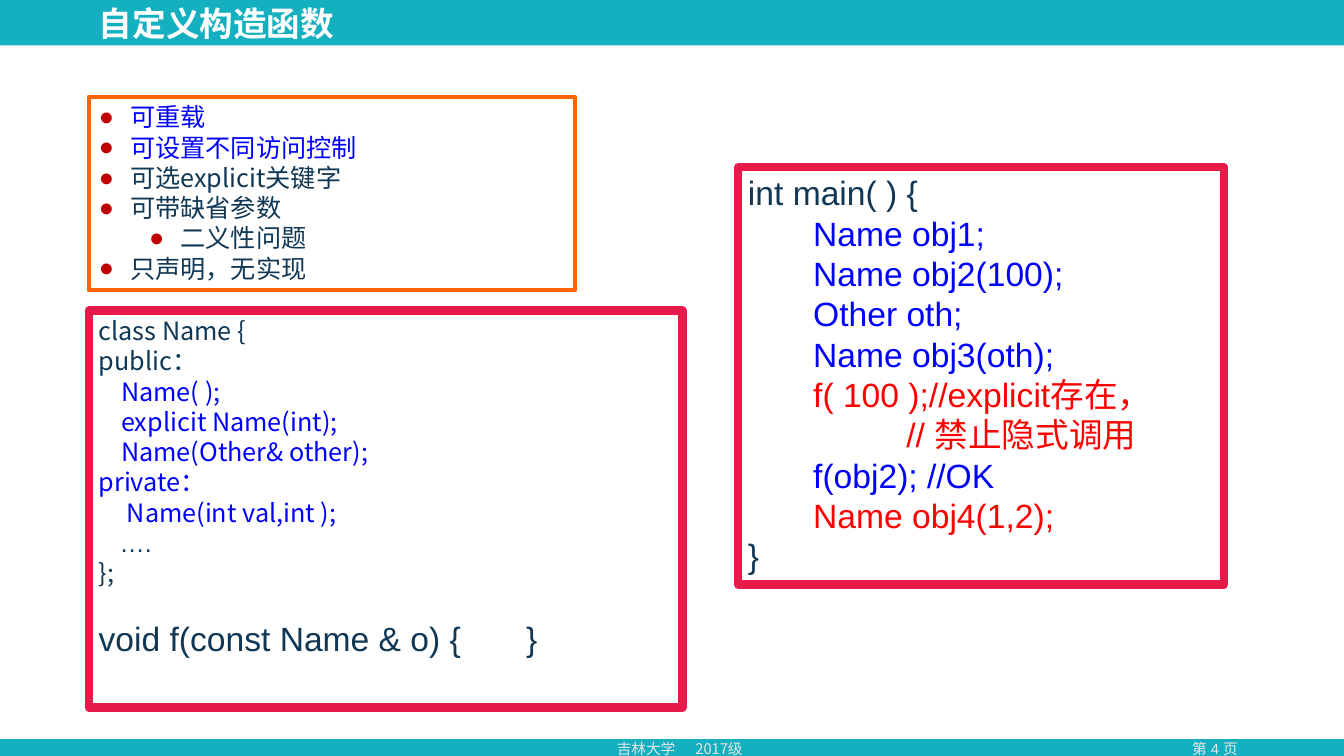
from lxml import etree
from pptx import Presentation, util as u
from pptx.dml.color import RGBColor
from pptx.enum import shapes, text
from pptx.oxml.ns import qn

SANS, ARIAL = "Noto Sans CJK SC", "Arial"
TEAL, NAVY, BLUE, RED = "14B0C0", "103754", "0000FF", "FF0000"
PINK, ORANGE, PALE, WHITE = "E61A4B", "FF6600", "E7E6E6", "FFFFFF"
LEFT = text.PP_ALIGN.LEFT

CLASS = [
    ("class Name {", NAVY, SANS),
    ("public：", NAVY, SANS),
    ("    Name( );", BLUE, SANS),
    ("    explicit Name(int);", BLUE, SANS),
    ("    Name(Other& other);", BLUE, SANS),
    ("private：", BLUE, SANS),
    ("     Name(int val,int );", BLUE, SANS),
    ("   ….", NAVY, ARIAL),
    ("};", NAVY, SANS),
]
MAIN = [
    ("int main( ) {", NAVY, ARIAL),
    ("       Name obj1;", BLUE, ARIAL),
    ("       Name obj2(100);", BLUE, ARIAL),
    ("       Other oth;", BLUE, ARIAL),
    ("       Name obj3(oth);", BLUE, ARIAL),
    ("       f( 100 );//explicit存在，", RED, ARIAL),
    ("                 // 禁止隐式调用", RED, ARIAL),
    ("       f(obj2); //OK", BLUE, ARIAL),
    ("       Name obj4(1,2);", RED, ARIAL),
    ("}", NAVY, ARIAL),
]
POINTS = [
    ("可重载", BLUE, 0),
    ("可设置不同访问控制", BLUE, 0),
    ("可选explicit关键字", NAVY, 0),
    ("可带缺省参数", NAVY, 0),
    ("二义性问题", NAVY, 1),
    ("只声明，无实现", NAVY, 0),
]


def rgb(code):
    return RGBColor.from_string(code)


def add(parent, tag, **attrs):
    return etree.SubElement(parent, qn(tag), attrs)


def place(shape, box):
    shape.left, shape.top, shape.width, shape.height = map(u.Inches, box)


def style(par, size, face, color, align=LEFT, bold=False):
    par.alignment = align
    font = par.font
    font.size, font.name, font.bold = u.Pt(size), face, bold
    font.color.rgb = rgb(color)
    add(par._p.pPr.find(qn("a:defRPr")), "a:ea", typeface=face)


def setup(frame):
    frame.word_wrap = True
    frame.auto_size = text.MSO_AUTO_SIZE.NONE
    frame.vertical_anchor = text.MSO_ANCHOR.TOP


def next_par(frame):
    """The empty first paragraph, or a new one."""
    first = frame.paragraphs[0]
    return frame.add_paragraph() if first.text else first


def lead(par, size):
    par.line_spacing = u.Pt(1.2 * size)
    par.space_before = par.space_after = u.Pt(0)


def block(slide, box):
    """A plain rectangle without fill or shadow."""
    shape = slide.shapes.add_shape(shapes.MSO_SHAPE.RECTANGLE, *map(u.Inches, box))
    shape.shadow.inherit = False
    shape.fill.background()
    return shape


def ground(slide):
    """Teal sheet with a white page on it, both behind the placeholders."""
    tree = slide.shapes._spTree
    sheets = (((0, 0, 13.33, 7.5), TEAL), ((0, 0.45, 13.33, 6.88), WHITE))
    for spot, (box, color) in enumerate(sheets, 2):
        sheet = block(slide, box)
        sheet.fill.solid()
        sheet.fill.fore_color.rgb = rgb(color)
        sheet.line.fill.background()
        tree.insert(spot, sheet._element)


def label(slide, box, words, face, align=LEFT, tab=None):
    frame = slide.shapes.add_textbox(*map(u.Inches, box)).text_frame
    setup(frame)
    par = frame.paragraphs[0]
    par.text = words
    if tab:
        tabs = add(par._p.get_or_add_pPr(), "a:tabLst")
        add(tabs, "a:tab", pos=str(u.Inches(tab)), algn="l")
    style(par, 10.5, face, PALE, align)


def header(slide, box):
    title = slide.shapes.title
    place(title, box)
    frame = title.text_frame
    setup(frame)
    frame.vertical_anchor = text.MSO_ANCHOR.MIDDLE
    par = frame.paragraphs[0]
    par.text = "自定义构造函数"
    par.line_spacing = 0.9
    style(par, 24, SANS, WHITE, bold=True)


def bullets(slide, box):
    body = slide.placeholders[1]
    place(body, box)
    body.line.color.rgb, body.line.width = rgb(ORANGE), u.Pt(3)
    frame = body.text_frame
    setup(frame)
    for words, color, level in POINTS:
        par = next_par(frame)
        par.text, par.level = words, level
        props = par._p.get_or_add_pPr()
        props.set("marL", str(u.Inches(0.31 + 0.5 * level)))
        props.set("indent", str(u.Inches(-0.31)))
        add(add(props, "a:buClr"), "a:srgbClr", val="C00000")
        add(props, "a:buFont", typeface=ARIAL)
        add(props, "a:buChar", char="●")
        style(par, 18, SANS, color)
        lead(par, 18)


def code(slide, box, lines, size):
    panel = block(slide, box)
    panel.line.color.rgb, panel.line.width = rgb(PINK), u.Pt(6)
    frame = panel.text_frame
    setup(frame)
    for words, color, face in lines:
        code_line(frame, words, size, face, color)
    return frame


def code_line(frame, words, size, face, color):
    par = next_par(frame)
    par.text = words
    style(par, size, face, color)
    lead(par, size)
    return par


def main():
    deck = Presentation()
    deck.slide_width, deck.slide_height = u.Inches(13.33), u.Inches(7.5)
    slide = deck.slides.add_slide(deck.slide_layouts[1])

    # Background, title and list
    ground(slide)
    header(slide, (0.88, 0.06, 7.68, 0.39))
    bullets(slide, (0.88, 0.96, 4.82, 1.92))

    # Footer
    label(slide, (6.02, 7.29, 1.84, 0.28), "吉林大学\t2017级", SANS, tab=0.78)
    label(slide, (11.32, 7.29, 1.46, 0.28), "第 4 页", ARIAL, text.PP_ALIGN.CENTER)

    # Code panels
    frame = code(slide, (0.88, 3.08, 5.89, 3.94), CLASS, 18)
    func = code_line(frame, "void f(const Name & o) {       }", 24, ARIAL, NAVY)
    func.space_before = u.Pt(21.6)
    code(slide, (7.32, 1.66, 4.82, 4.14), MAIN, 24)

    deck.save("out.pptx")


if __name__ == "__main__":
    main()
